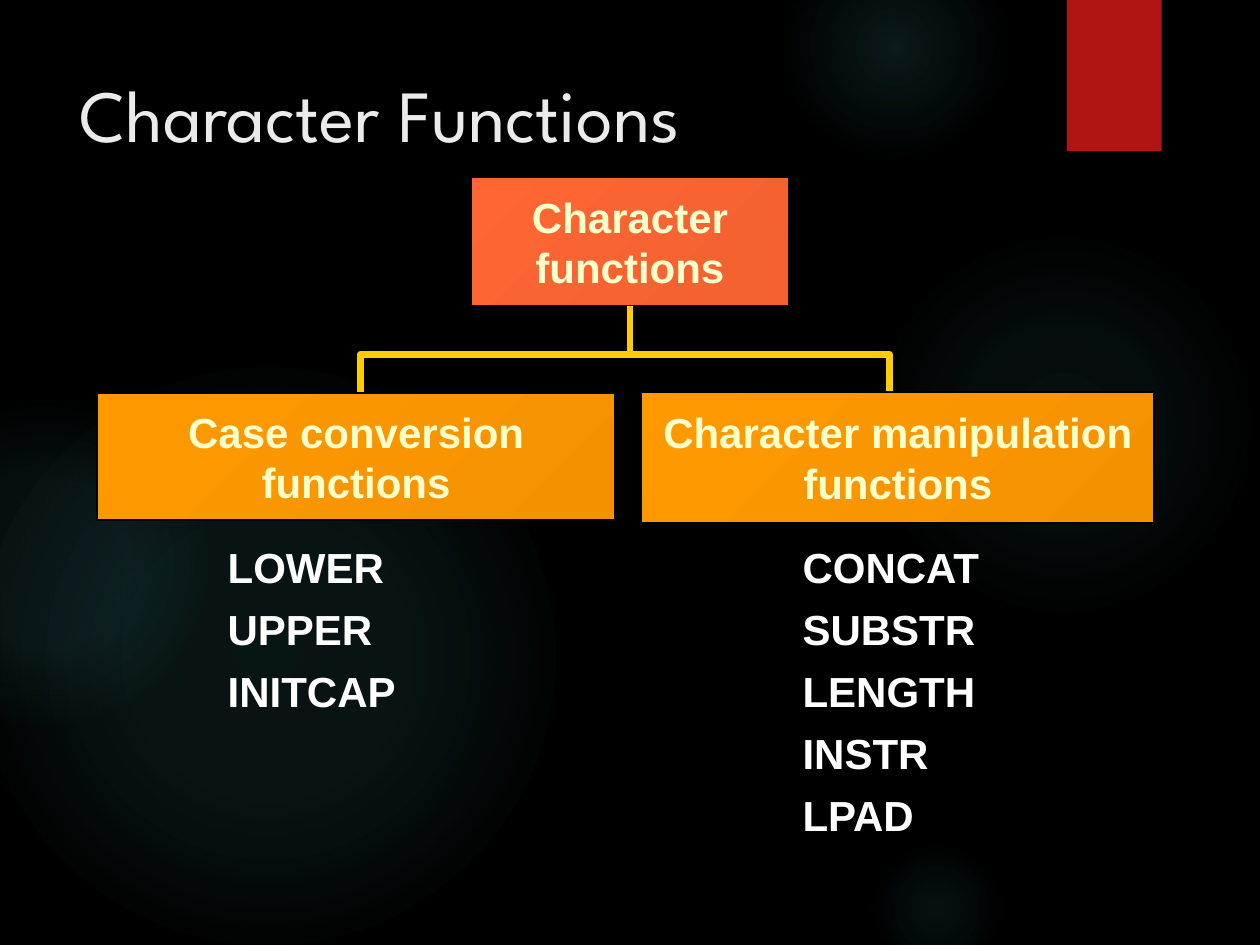
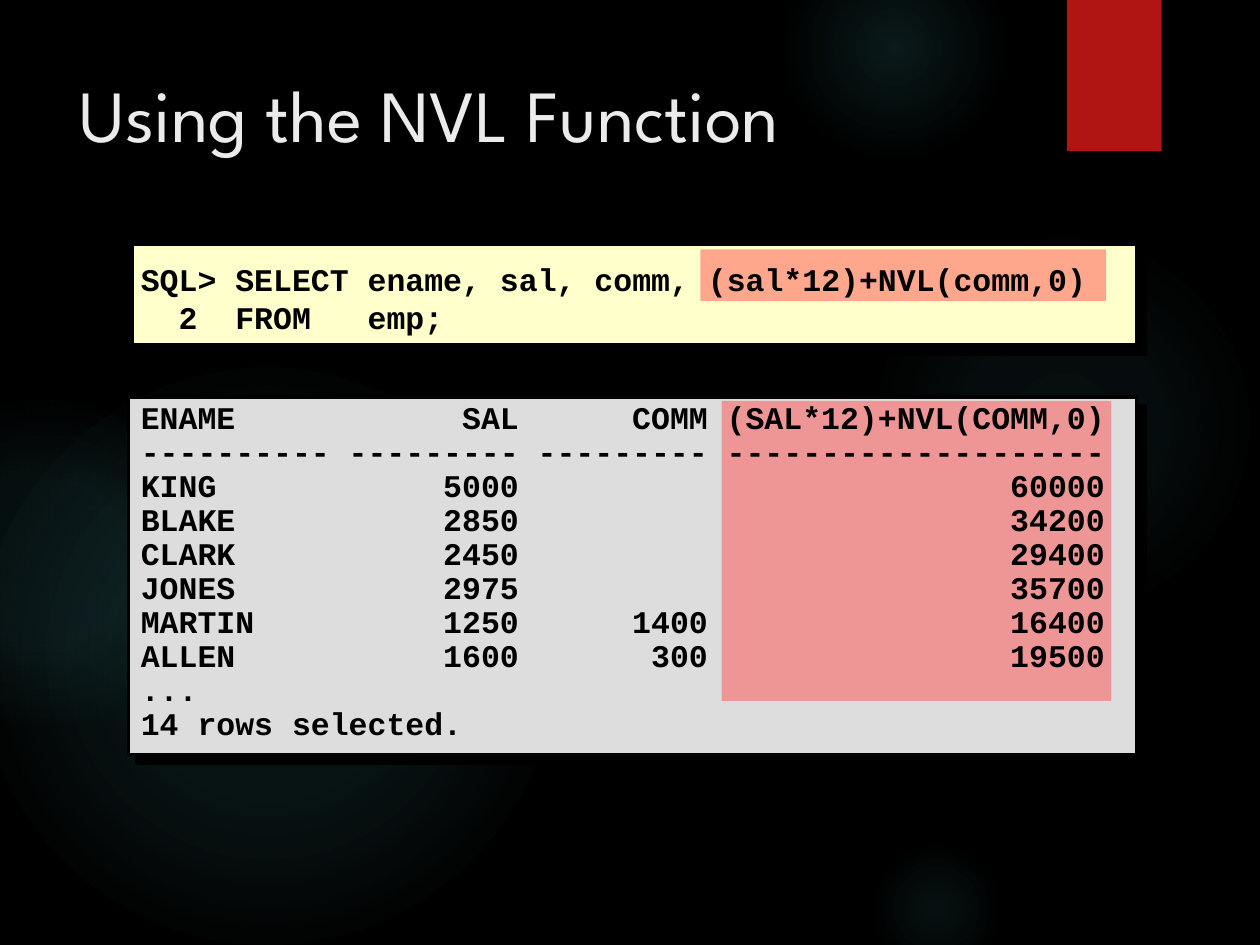
from lxml.etree import SubElement
from pptx import Presentation
from pptx.dml.color import RGBColor
from pptx.enum.shapes import MSO_CONNECTOR as Connector, MSO_SHAPE as Shape
from pptx.enum.text import MSO_ANCHOR as Anchor, MSO_AUTO_SIZE as AutoSize, PP_ALIGN as Align
from pptx.oxml import parse_xml
from pptx.oxml.ns import nsdecls, qn
from pptx.util import Cm, Pt

BLACK, WHITE, CREAM, GOLD = "000000", "FFFFFF", "FFFFCC", "FFCC00"
GLOW, RIBBON, HIGHLIGHT, GREY = "50B9C1", "B01513", "FF5050", "DDDDDD"
ROOT_GRADIENT, BRANCH_GRADIENT = ("FF6633", "F36131"), ("FF9900", "F39200")
TITLE = {"name": "League Spartan", "size": Pt(42), "bold": False}
LABEL = {"name": "Arial", "size": Pt(24), "bold": True}
CODE = {"name": "Courier New", "size": Pt(18), "bold": True}
CODE_CHARACTER = 0.381
LINE_SHADOW, PANEL_SHADOW = (100, 0, 4.2, 45), (100, 0, 7.1, 45)
GLOWS = [
    (17.5, 4.65, 7.82, ((0, 7), (36, 6), (69, 0))),
    (15.8, -1.27, 4.45, ((0, 14), (36, 7), (73, 0))),
    (17.5, 16.94, 2.74, ((0, 9), (36, 5), (66, 0))),
    (-0.43, 7.42, 11.63, ((0, 11), (36, 10), (75, 0))),
    (-2.34, 8.05, 6.55, ((0, 8), (36, 8), (72, 0))),
]
QUERY = ["SQL> SELECT ename, sal, comm, (sal*12)+NVL(comm,0)", "\t2\tFROM\temp;"]
RESULT = [
    ("ENAME", "SAL", "COMM", "(SAL*12)+NVL(COMM,0)"),
    tuple("-" * width for width in (10, 9, 9, 20)),
    ("KING", "5000", "", "60000"),
    ("BLAKE", "2850", "", "34200"),
    ("CLARK", "2450", "", "29400"),
    ("JONES", "2975", "", "35700"),
    ("MARTIN", "1250", "1400", "16400"),
    ("ALLEN", "1600", "300", "19500"),
    ("...",),
    ("14 rows selected.",),
]


def colour(value):
    return RGBColor.from_string(value)


class Deck:
    """Holds the shared style and the slide being built."""

    def __init__(self):
        self.presentation = Presentation()
        self.presentation.slide_width = Cm(25.4)
        self.presentation.slide_height = Cm(19.05)
        background = self.presentation.slide_master.background.fill
        background.solid()
        background.fore_color.rgb = colour(BLACK)
        self.layout = self.presentation.slide_layouts[5]
        for placeholder in list(self.layout.placeholders)[1:]:
            self.layout.element.cSld.spTree.remove(placeholder.element)
        self.slide = None

    def start_slide(self, title):
        self.slide = self.presentation.slides.add_slide(self.layout)
        shape = self.slide.shapes.title
        place = {"left": 1.35, "top": 1.27, "width": 19.61, "height": 3.89}
        for name, value in place.items():
            setattr(shape, name, Cm(value))
        self.fill_text(shape, [title], TITLE, "EBEBEB")

    def decorate_layout(self):
        shapes = [self.glow(*glow) for glow in GLOWS]
        ribbon = self.rectangle((21.51, 0, 1.91, 3.05), RIBBON)
        self.shadow(ribbon, 45, 3, 2, 90)
        for index, shape in enumerate(shapes + [ribbon], 2):
            self.layout.element.cSld.spTree.insert(index, shape.element)

    def glow(self, left, top, size, stops):
        shape = self.slide.shapes.add_shape(Shape.OVAL, Cm(left), Cm(top), Cm(size), Cm(size))
        shape.shadow.inherit = False
        shape.line.fill.background()
        shape.fill.gradient()
        stops_xml = "".join(
            f'<a:gs pos="{position * 1000}"><a:srgbClr val="{GLOW}">'
            f'<a:alpha val="{alpha * 1000}"/></a:srgbClr></a:gs>'
            for position, alpha in stops)
        gradient = parse_xml(
            f'<a:gradFill {nsdecls("a")}><a:gsLst>{stops_xml}</a:gsLst><a:path path="circle">'
            '<a:fillToRect l="50000" t="50000" r="50000" b="50000"/></a:path></a:gradFill>')
        properties = shape.element.spPr
        properties.replace(properties.find(qn("a:gradFill")), gradient)
        return shape

    def rectangle(self, place, fill, line_width=0, alpha=100):
        shape = self.slide.shapes.add_shape(Shape.RECTANGLE, *map(Cm, place))
        shape.shadow.inherit = False
        if isinstance(fill, tuple):
            shape.fill.gradient()
            shape.fill.gradient_angle = 315
            for stop, value in zip(shape.fill.gradient_stops, fill):
                stop.color.rgb = colour(value)
        else:
            shape.fill.solid()
            shape.fill.fore_color.rgb = colour(fill)
        if alpha < 100:
            value = shape.element.spPr.find(qn("a:solidFill")).find(qn("a:srgbClr"))
            SubElement(value, qn("a:alpha"), val=str(alpha * 1000))
        if line_width:
            self.outline(shape, BLACK, line_width)
        else:
            shape.line.fill.background()
        return shape

    def outline(self, shape, value, width):
        shape.line.color.rgb = colour(value)
        shape.line.width = Pt(width)

    def shadow(self, shape, alpha, blur, distance, angle):
        properties = shape.element.spPr
        effects = properties.find(qn("a:effectLst"))
        if effects is None:
            effects = SubElement(properties, qn("a:effectLst"))
        outer = SubElement(effects, qn("a:outerShdw"), blurRad=str(Pt(blur)), dist=str(Pt(distance)),
                           dir=str(angle * 60000), algn="ctr", rotWithShape="0")
        value = SubElement(outer, qn("a:srgbClr"), val=BLACK)
        SubElement(value, qn("a:alpha"), val=str(alpha * 1000))

    def node(self, place, lines, gradient):
        shape = self.rectangle(place, gradient, 1)
        self.fill_text(shape, lines, LABEL, CREAM, Anchor.MIDDLE, wrap=False, alignment=Align.CENTER)
        return shape

    def textbox(self, place, lines, font, value, anchor=Anchor.TOP, **paragraph_format):
        shape = self.slide.shapes.add_textbox(*map(Cm, place))
        self.fill_text(shape, lines, font, value, anchor, **paragraph_format)
        return shape

    def fill_text(self, shape, lines, font, value, anchor=Anchor.TOP, wrap=True, **paragraph_format):
        frame = shape.text_frame
        frame.auto_size = AutoSize.NONE
        frame.word_wrap = wrap
        frame.vertical_anchor = anchor
        for index, line in enumerate(lines):
            paragraph = frame.add_paragraph() if index else frame.paragraphs[0]
            for name, setting in {"alignment": Align.LEFT, **paragraph_format}.items():
                setattr(paragraph, name, setting)
            run = paragraph.add_run()
            run.text = line
            for name, setting in font.items():
                setattr(run.font, name, setting)
            run.font.color.rgb = colour(value)

    def set_tabs(self, shape, stops):
        for properties in shape.element.iter(qn("a:pPr")):
            tabs = SubElement(properties, qn("a:tabLst"))
            for column, side in stops:
                SubElement(tabs, qn("a:tab"), pos=str(Cm(column * CODE_CHARACTER)), algn=side)

    def stem(self, start, end, parent):
        connector = self.slide.shapes.add_connector(Connector.STRAIGHT, *map(Cm, start + end))
        connector.end_connect(parent, 2)
        self.outline(connector, GOLD, 4)
        self.shadow(connector, *LINE_SHADOW)

    def bracket(self, points):
        corners = [(Cm(x), Cm(y)) for x, y in points]
        builder = self.slide.shapes.build_freeform(*corners[0])
        builder.add_line_segments(corners[1:], close=False)
        shape = builder.convert_to_shape()
        shape.shadow.inherit = False
        shape.fill.background()
        self.outline(shape, GOLD, 4)
        self.shadow(shape, *LINE_SHADOW)


def build_function_tree(deck):
    root = deck.node((9.49, 3.58, 6.42, 2.59), ["Character", "functions"], ROOT_GRADIENT)
    list_format = {"line_spacing": 0.9, "space_before": Pt(9.5)}
    for place, names in [
        ((4.34, 10.9, 3.89, 3.71), ["LOWER", "UPPER", "INITCAP"]),
        ((15.93, 10.9, 4.14, 6.25), ["CONCAT", "SUBSTR", "LENGTH", "INSTR", "LPAD"]),
    ]:
        deck.textbox(place, names, LABEL, WHITE, **list_format)
    deck.stem((12.7, 7.09), (12.7, 6.17), root)
    deck.bracket([(7.26, 8.53), (7.26, 7.14), (17.93, 7.14), (17.93, 8.64)])
    deck.node((1.96, 7.92, 10.44, 2.57), ["Case conversion", "functions"], BRANCH_GRADIENT)
    deck.node((12.93, 7.9, 10.34, 2.64), ["Character manipulation", "functions"], BRANCH_GRADIENT)


def build_query_example(deck):
    for place, fill in [((2.67, 4.93, 20.24, 2.03), CREAM), ((2.59, 8, 20.32, 7.21), GREY)]:
        deck.shadow(deck.rectangle(place, fill, 2), *PANEL_SHADOW)
    for place in [(14.12, 5.03, 8.18, 1.04), (14.55, 8.08, 7.85, 6.05)]:
        deck.rectangle(place, HIGHLIGHT, alpha=50)
    query = deck.textbox((2.59, 4.62, 20.32, 2.77), QUERY, CODE, BLACK, Anchor.MIDDLE)
    deck.set_tabs(query, [(3, "r"), (5, "l"), (12, "l")])
    rows = ["\t".join(row) for row in RESULT]
    result = deck.textbox((2.59, 7.98, 20.24, 7.14), rows, CODE, BLACK, line_spacing=0.9)
    deck.set_tabs(result, [(20, "r"), (30, "r"), (51, "r")])


def main():
    deck = Deck()
    deck.start_slide("Character Functions")
    deck.decorate_layout()
    build_function_tree(deck)
    deck.start_slide("Using the NVL Function")
    build_query_example(deck)
    deck.presentation.save("out.pptx")


if __name__ == "__main__":
    main()
